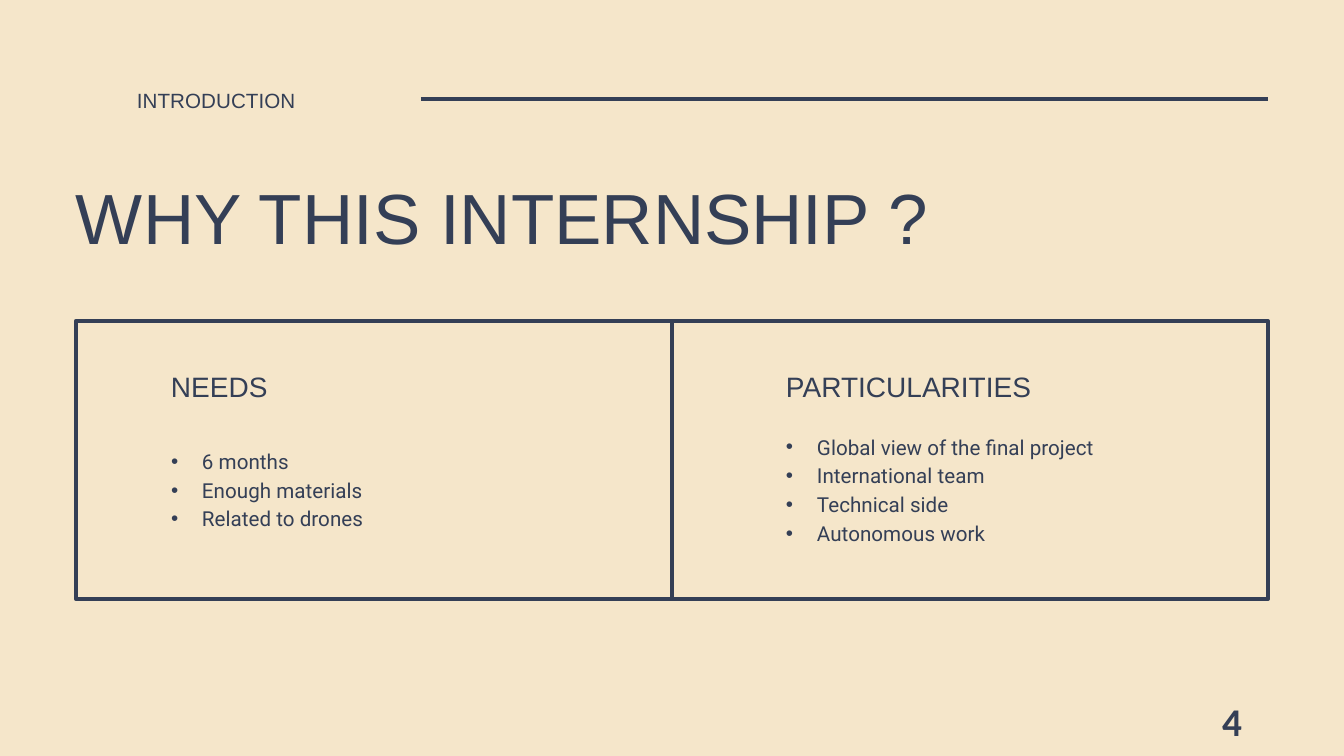
from dataclasses import dataclass

from lxml.etree import SubElement
from pptx import Presentation
from pptx.dml.color import RGBColor
from pptx.enum.shapes import MSO_CONNECTOR, MSO_SHAPE
from pptx.enum.text import MSO_ANCHOR, PP_ALIGN
from pptx.oxml.ns import qn
from pptx.util import Pt

SCALE = 914400 / 100.8


def px(n):
    """Turn whole pixels into EMU."""
    return round(n * SCALE)


@dataclass(frozen=True)
class Theme:
    """Colours, fonts and sizes of the slide."""
    paper: RGBColor = RGBColor(0xF5, 0xE6, 0xCA)
    ink: RGBColor = RGBColor(0x34, 0x3F, 0x56)
    head: str = "Arial"
    body: str = "Roboto"
    digit: str = "Calibri"
    title: float = 50.7
    label: float = 20
    small: float = 14.7
    page: float = 28
    rule: float = 3


class Deck:
    """Holds the theme and the current slide."""

    def __init__(self, theme):
        """Open a deck with one blank slide."""
        self.theme = theme
        self.prs = Presentation()
        self.prs.slide_width, self.prs.slide_height = px(1344), px(756)
        self.slide = self.prs.slides.add_slide(self.prs.slide_layouts[6])
        fill = self.slide.background.fill
        fill.solid()
        fill.fore_color.rgb = theme.paper

    def text(self, lines, box, size, font, lead=None, mid=False,
             right=False, bold=False, dots=False):
        """Add a text box with one paragraph per line."""
        frame = self.slide.shapes.add_textbox(*map(px, box)).text_frame
        frame.word_wrap = True
        frame.margin_left = frame.margin_right = 0
        frame.margin_top = frame.margin_bottom = 0
        frame.vertical_anchor = MSO_ANCHOR.MIDDLE if mid else MSO_ANCHOR.TOP
        frame.text = "\n".join(lines)
        for para in frame.paragraphs:
            para.alignment = PP_ALIGN.RIGHT if right else PP_ALIGN.LEFT
            if lead:
                para.line_spacing = Pt(lead)
            if dots:
                self.dot(para)
            for run in para.runs:
                run.font.size = Pt(size)
                run.font.name = font
                run.font.bold = bold
                run.font.color.rgb = self.theme.ink

    def dot(self, para):
        """Give a paragraph a hanging bullet."""
        props = para._p.get_or_add_pPr()
        props.set("marL", str(px(31)))
        props.set("indent", str(-px(31)))
        tint = SubElement(props, qn("a:buClr"))
        SubElement(tint, qn("a:srgbClr")).set("val", str(self.theme.ink))
        SubElement(props, qn("a:buFont")).set("typeface", "Arial")
        SubElement(props, qn("a:buChar")).set("char", "•")

    def frame(self, box):
        """Add an outlined rectangle and return it."""
        rect = self.slide.shapes.add_shape(MSO_SHAPE.RECTANGLE, *map(px, box))
        rect.shadow.inherit = False
        rect.fill.background()
        self.ink(rect.line)
        return rect

    def line(self, ends):
        """Add a straight line and return it."""
        line = self.slide.shapes.add_connector(
            MSO_CONNECTOR.STRAIGHT, *map(px, ends))
        self.ink(line.line)
        SubElement(line._element.spPr, qn("a:effectLst"))
        return line

    def ink(self, line):
        """Style a line or outline."""
        line.color.rgb = self.theme.ink
        line.width = Pt(self.theme.rule)


def main():
    """Build the slide and save it."""
    look = Theme()
    deck = Deck(look)
    deck.text(["WHY THIS INTERNSHIP ?"], (76, 188, 1192, 73),
              look.title, look.head, lead=50.7)
    deck.text(["INTRODUCTION"], (137, 84, 263, 25),
              look.small, look.head, lead=20.5)
    deck.line((421, 99, 1268, 99))

    frame = deck.frame((76, 321, 1192, 278))
    split = deck.line((672, 599, 672, 321))
    split.begin_connect(frame, 2)
    split.end_connect(frame, 0)

    panes = (
        (171, "NEEDS", ["6 months", "Enough materials", "Related to drones"]),
        (786, "PARTICULARITIES", ["Global view of the final project",
                                  "International team", "Technical side",
                                  "Autonomous work"]),
    )
    for left, label, items in panes:
        deck.text([label], (left, 364, 364, 33),
                  look.label, look.head, lead=28)
        deck.text(items, (left, 408, 435, 160),
                  look.small, look.body, lead=20.5, mid=True, dots=True)

    deck.text(["4"], (960, 701, 282, 40), look.page, look.digit,
              mid=True, right=True, bold=True)
    deck.prs.save("out.pptx")


if __name__ == "__main__":
    main()
